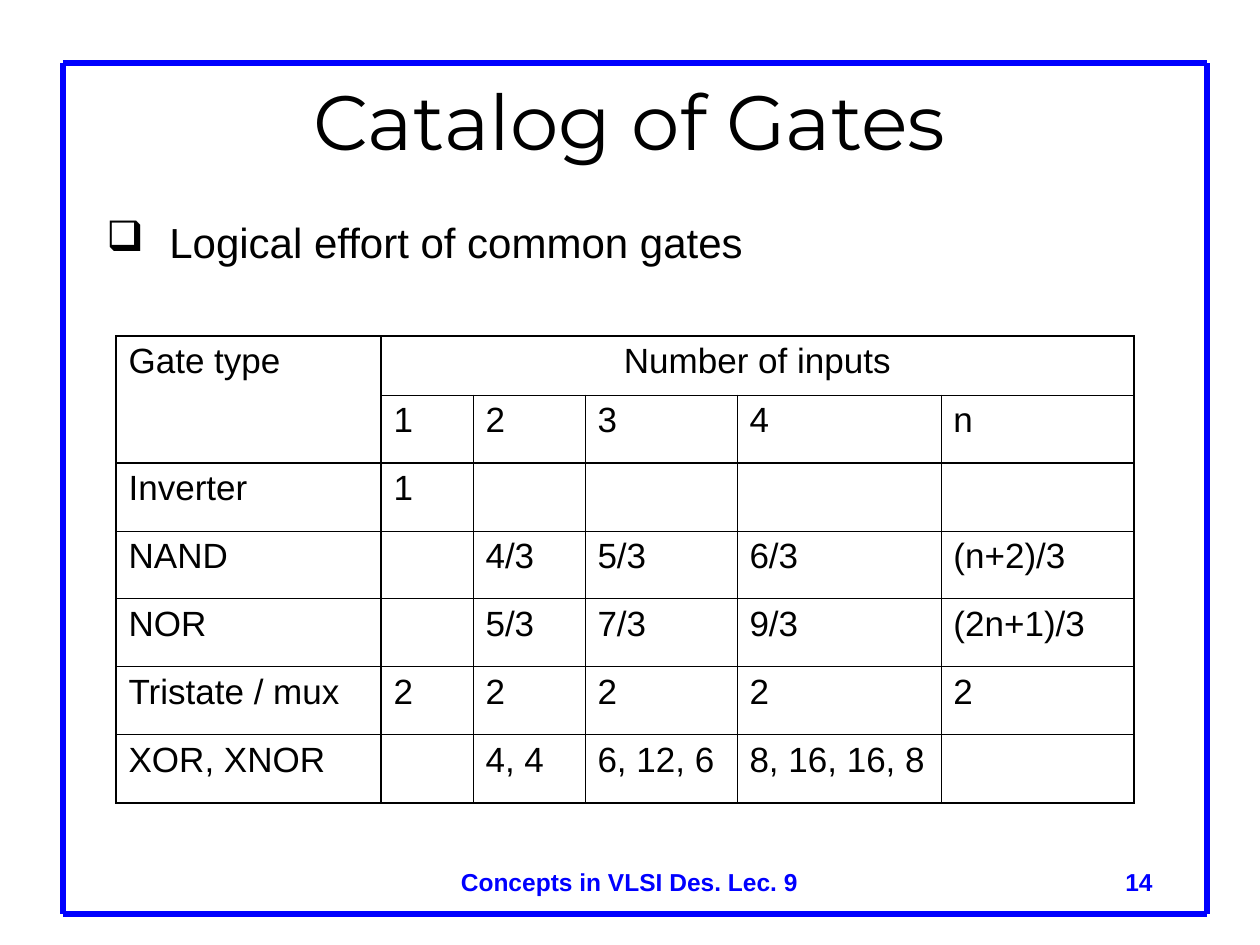
from pptx import Presentation
from pptx.dml.color import RGBColor
from pptx.enum.shapes import MSO_CONNECTOR
from pptx.enum.text import MSO_ANCHOR, PP_ALIGN
from pptx.oxml import parse_xml
from pptx.oxml.ns import nsdecls
from pptx.util import Pt
from lxml.etree import SubElement
from pptx.oxml.ns import qn

BLUE = RGBColor(0x00, 0x00, 0xFF)
BLACK = RGBColor(0x00, 0x00, 0x00)
LEFT, MID, RIGHT = PP_ALIGN.LEFT, PP_ALIGN.CENTER, PP_ALIGN.RIGHT

TITLE = "Catalog of Gates"
POINT = "Logical effort of common gates"
FOOTER = "Concepts in VLSI Des. Lec. 9"
NUMBER = "14"
GATES = [
    ["Gate type", "Number of inputs", "", "", "", ""],
    ["", "1", "2", "3", "4", "n"],
    ["Inverter", "1", "", "", "", ""],
    ["NAND", "", "4/3", "5/3", "6/3", "(n+2)/3"],
    ["NOR", "", "5/3", "7/3", "9/3", "(2n+1)/3"],
    ["Tristate / mux", "2", "2", "2", "2", "2"],
    ["XOR, XNOR", "", "4, 4", "6, 12, 6", "8, 16, 16, 8", ""],
]
COLS = [265, 92, 112, 152, 204, 193]
ROWS = [59] + [68] * 6
FRAME = (63, 63, 1207, 914)
THICK, THIN = 1.08, 0.45
THICK_COLS, THICK_ROWS = (0, 1, 6), (0, 2, 7)


def px(num):
    """Turn px into EMU."""
    return round(num * 914400 / 126)


def write(para, text, size, color=BLACK, align=LEFT, face="Arial", bold=False):
    """Add one styled run to a paragraph."""
    para.alignment = align
    run = para.add_run()
    run.text = text
    font = run.font
    font.name, font.size, font.bold = face, Pt(size), bold
    font.color.rgb = color


def add_box(slide, spot, anchor=MSO_ANCHOR.TOP):
    """Add a wrapping text box and return its first paragraph."""
    frame = slide.shapes.add_textbox(*map(px, spot)).text_frame
    frame.word_wrap = True
    frame.vertical_anchor = anchor
    return frame.paragraphs[0]


def add_frame(slide):
    """Draw the four lines around the page."""
    x1, y1, x2, y2 = FRAME
    for ends in [(x1, y1, x1, y2), (x1, y1, x2, y1), (x2, y1, x2, y2), (x1, y2, x2, y2)]:
        line = slide.shapes.add_connector(MSO_CONNECTOR.STRAIGHT, *map(px, ends))
        line.line.color.rgb = BLUE
        line.line.width = Pt(3)
        SubElement(line._element.spPr, qn("a:effectLst"))


def add_rules(cell, row, col):
    """Draw the cell borders, thick around each group."""
    wide = cell.span_width if cell.is_merge_origin else 1
    high = cell.span_height if cell.is_merge_origin else 1
    props = cell._tc.get_or_add_tcPr()
    sides = {"L": col in THICK_COLS, "R": col + wide in THICK_COLS,
             "T": row in THICK_ROWS, "B": row + high in THICK_ROWS}
    for side, thick in sides.items():
        width = Pt(THICK if thick else THIN)
        props.append(parse_xml(
            f'<a:ln{side} {nsdecls("a")} w="{width}"><a:solidFill>'
            f'<a:srgbClr val="{BLACK}"/></a:solidFill></a:ln{side}>'))


def add_gates(slide):
    """Add the table of gates."""
    spot = (116, 336, sum(COLS), sum(ROWS))
    table = slide.shapes.add_table(len(ROWS), len(COLS), *map(px, spot)).table
    table.first_row = table.horz_banding = False
    for col, width in zip(table.columns, COLS):
        col.width = px(width)
    for row, height in zip(table.rows, ROWS):
        row.height = px(height)
    table.cell(0, 0).merge(table.cell(1, 0))
    table.cell(0, 1).merge(table.cell(0, 5))
    for r, texts in enumerate(GATES):
        for c, text in enumerate(texts):
            cell = table.cell(r, c)
            add_rules(cell, r, c)
            cell.fill.background()
            if text:
                align = MID if (r, c) == (0, 1) else LEFT
                write(cell.text_frame.paragraphs[0], text, 20, align=align)


def add_point(slide):
    """Add the bulleted line."""
    para = add_box(slide, (94, 210, 1071, 630))
    props = para._p.get_or_add_pPr()
    props.set("marL", str(px(63)))
    props.set("indent", str(px(-63)))
    color = SubElement(props, qn("a:buClr"))
    SubElement(color, qn("a:srgbClr"), val=str(BLACK))
    SubElement(props, qn("a:buChar"), char="❑")
    write(para, POINT, 24)


def main():
    """Build and save the slide."""
    deck = Presentation()
    deck.slide_width, deck.slide_height = px(1260), px(945)
    slide = deck.slides.add_slide(deck.slide_layouts[6])
    add_frame(slide)
    title = add_box(slide, (94, 73, 1071, 94), MSO_ANCHOR.MIDDLE)
    write(title, TITLE, 44, align=MID, face="Montserrat")
    add_gates(slide)
    add_point(slide)
    write(add_box(slide, (94, 861, 1071, 63)), FOOTER, 14, BLUE, MID, bold=True)
    write(add_box(slide, (903, 861, 262, 63)), NUMBER, 14, BLUE, RIGHT, bold=True)
    deck.save("out.pptx")


if __name__ == "__main__":
    main()
